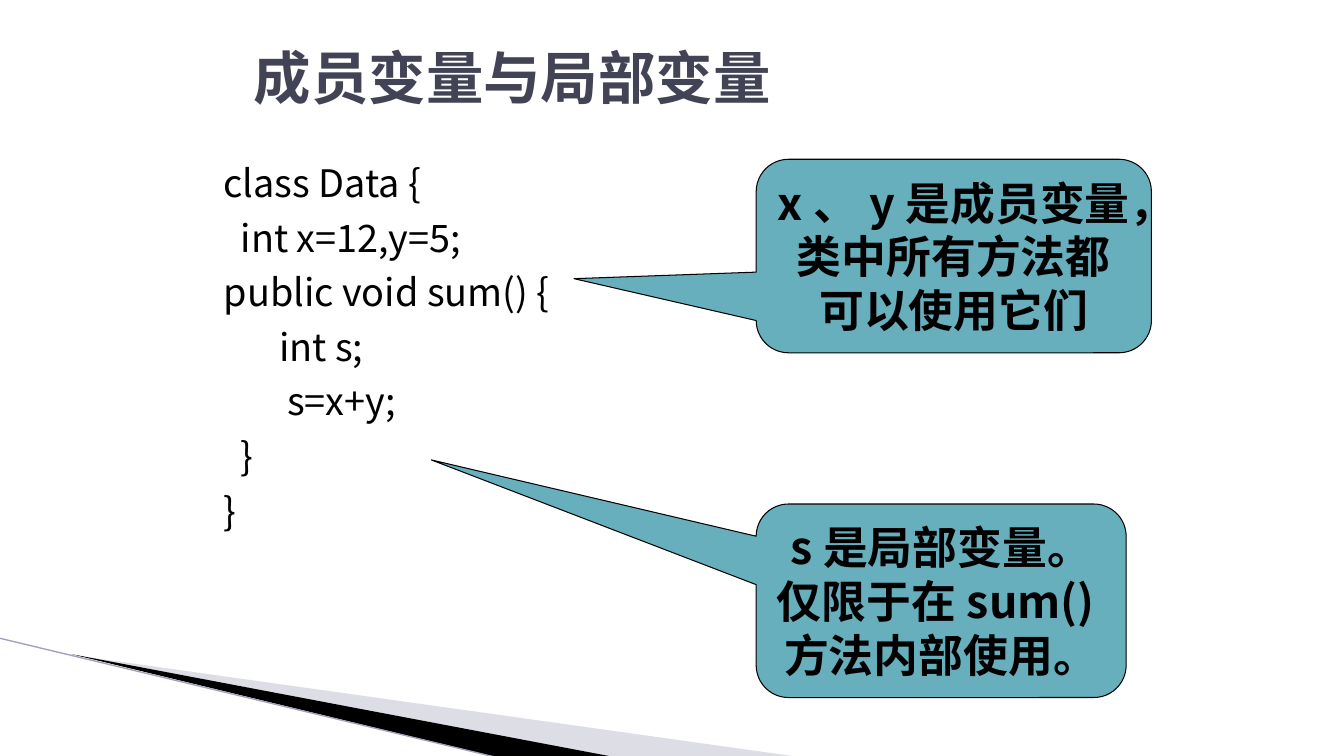
from lxml import etree
from pptx import Presentation
from pptx.dml.color import RGBColor
from pptx.enum import shapes, text
from pptx.oxml import ns
from pptx.util import Inches, Pt

WHITE = RGBColor(0xFF, 0xFF, 0xFF)
BLACK = RGBColor(0x00, 0x00, 0x00)
SLATE = RGBColor(0x42, 0x44, 0x56)
LAVENDER = RGBColor(0xAA, 0xAA, 0xBF)
EDGE = RGBColor(0xA1, 0xA1, 0xB9)
TEAL = RGBColor(0x67, 0xAF, 0xBD)

SANS = "Noto Sans CJK SC"
MONO = "Noto Sans Mono"

CODE = [
    ("class Data {", 0),
    ("int x=12,y=5;", 0.17),
    ("public void sum() {", 0),
    ("int s;", 0.55),
    ("s=x+y;", 0.63),
    ("}", 0.17),
    ("}", 0),
]


def add_text(p, content, size, font=SANS, color=BLACK, bold=False,
             align=text.PP_ALIGN.LEFT):
    p.alignment = align
    r = p.add_run()
    r.text = content
    r.font.size = Pt(size)
    r.font.name = font
    r.font.bold = bold
    r.font.color.rgb = color
    ea = etree.SubElement(r.font._element, ns.qn("a:ea"))
    ea.set("typeface", SANS)


def add_box(slide, left, top, width, height, anchor):
    sp = slide.shapes.add_textbox(
        Inches(left), Inches(top), Inches(width), Inches(height))
    tf = sp.text_frame
    tf.word_wrap = True
    tf.vertical_anchor = anchor
    return tf


def add_code(slide, lines):
    tf = add_box(slide, 2, 1.5, 5.17, 6, text.MSO_ANCHOR.TOP)
    for i, (line, indent) in enumerate(lines):
        p = tf.add_paragraph() if i else tf.paragraphs[0]
        add_text(p, line, 27, align=text.PP_ALIGN.JUSTIFY)
        p.line_spacing = 1.08
        p.space_before = Pt(4)
        p._p.get_or_add_pPr().set("marL", str(Inches(0.12 + indent)))


def add_callout(slide, content, top, width, tip):
    sp = slide.shapes.add_shape(
        shapes.MSO_SHAPE.ROUNDED_RECTANGULAR_CALLOUT,
        Inches(7.5), Inches(top), Inches(width), Inches(1.92))
    for i, value in enumerate((*tip, 0.167)):
        sp.adjustments[i] = value
    sp.shadow.inherit = False
    sp.fill.solid()
    sp.fill.fore_color.rgb = TEAL
    sp.line.color.rgb = BLACK
    sp.line.width = Pt(0.75)
    tf = sp.text_frame
    tf.word_wrap = True
    tf.vertical_anchor = text.MSO_ANCHOR.MIDDLE
    add_text(tf.paragraphs[0], content, 32, bold=True,
             align=text.PP_ALIGN.CENTER)


def add_wedge(slide, points, color, alpha=100):
    start, *rest = [(Inches(x), Inches(y)) for x, y in points]
    builder = slide.shapes.build_freeform(*start)
    builder.add_line_segments(rest)
    sp = builder.convert_to_shape()
    sp.shadow.inherit = False
    sp.fill.solid()
    sp.fill.fore_color.rgb = color
    sp.line.fill.background()
    if alpha < 100:
        clr = sp._element.spPr.find(ns.qn("a:solidFill"))[0]
        etree.SubElement(clr, ns.qn("a:alpha")).set("val", str(alpha * 1000))


def add_edge(slide, x1, y1, x2, y2):
    cxn = slide.shapes.add_connector(
        shapes.MSO_CONNECTOR.STRAIGHT,
        Inches(x1), Inches(y1), Inches(x2), Inches(y2))
    cxn.line.color.rgb = EDGE
    cxn.line.width = Pt(0.95)
    etree.SubElement(cxn._element.spPr, ns.qn("a:effectLst"))


def main():
    prs = Presentation()
    prs.slide_width, prs.slide_height = Inches(13.33), Inches(7.5)
    slide = prs.slides.add_slide(prs.slide_layouts[6])
    slide.background.fill.solid()
    slide.background.fill.fore_color.rgb = WHITE

    add_wedge(slide, [(0.73, 6.5), (7.93, 7.51), (6.08, 7.51)], LAVENDER, 40)
    add_wedge(slide, [(0.71, 6.49), (6.09, 7.51), (4.96, 7.52)], BLACK)
    add_edge(slide, -0.01, 6.33, 4.95, 7.52)

    title = add_box(slide, 2.42, 0.17, 8.5, 1.17, text.MSO_ANCHOR.MIDDLE)
    add_text(title.paragraphs[0], "成员变量与局部变量", 41,
             font=MONO, color=SLATE, bold=True)
    add_code(slide, CODE)
    add_callout(slide, "x、y是成员变量，类中所有方法都可以使用它们",
                1.58, 3.92, (-0.961, 0.117))
    add_callout(slide, "s是局部变量。仅限于在sum()方法内部使用。",
                5, 3.67, (-1.378, -0.728))
    prs.save("out.pptx")


if __name__ == "__main__":
    main()
